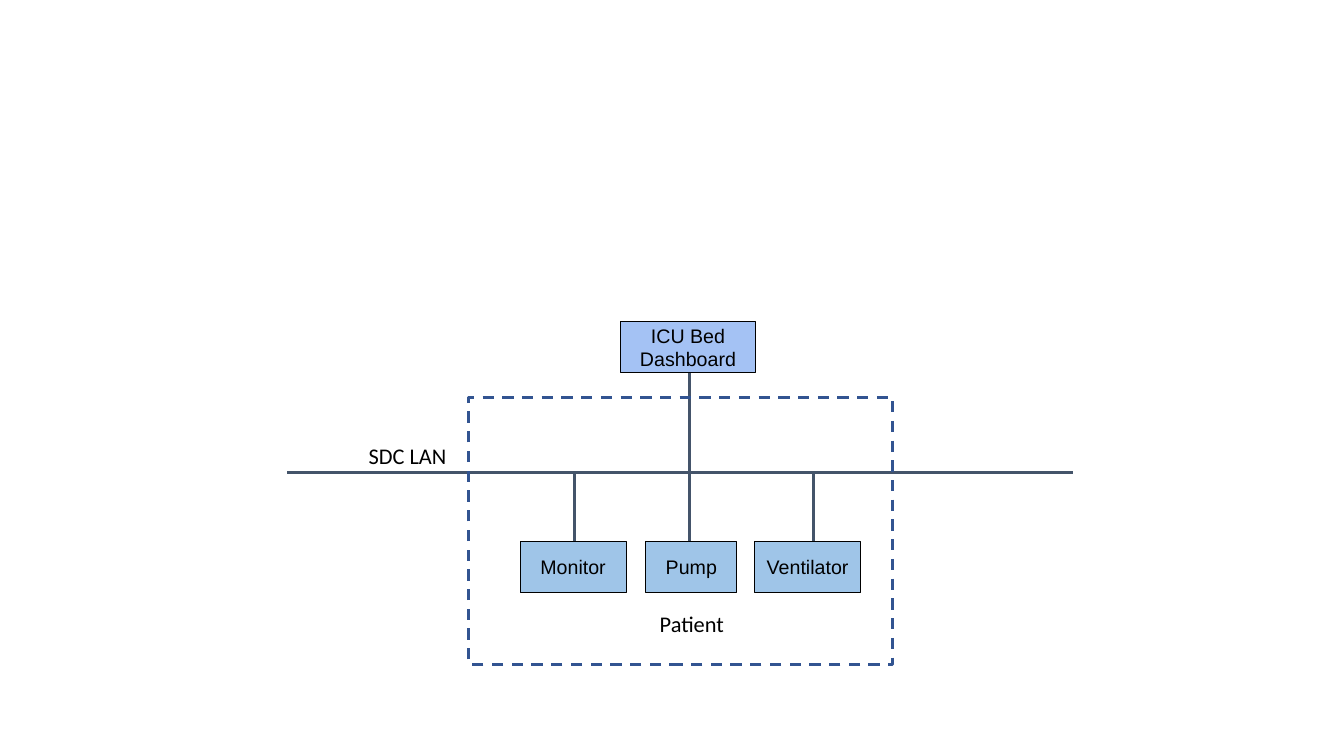
from dataclasses import dataclass
from typing import Optional

from lxml import etree
from pptx import Presentation
from pptx import util as u
from pptx.dml.color import RGBColor
from pptx.enum import dml, shapes, text
from pptx.oxml import ns


@dataclass(frozen=True)
class Theme:
    dashboard: str = "A4C2F4"
    device: str = "9FC5E8"
    outline: str = "000000"
    ink: str = "000000"
    network: str = "44546A"
    patient_area: str = "325491"
    box_font: str = "Arial"
    label_font: str = "Calibri"
    box_size: float = 14
    label_size: float = 16
    outline_width: float = 0.75
    network_width: float = 2.25
    area_width: float = 2


@dataclass(frozen=True)
class Box:
    left: float
    top: float
    width: float
    height: float
    words: str = ""
    fill: Optional[str] = None


@dataclass(frozen=True)
class Wire:
    x1: float
    y1: float
    x2: float
    y2: float


THEME = Theme()
DEVICE_TOP, BOX_HEIGHT, LABEL_HEIGHT = 13.64, 1.3, 0.94
LAN_Y = 11.91

DASHBOARD = Box(15.65, 8.1, 3.38, BOX_HEIGHT, "ICU Bed Dashboard", THEME.dashboard)
DEVICES = [
    Box(left, DEVICE_TOP, width, BOX_HEIGHT, words, THEME.device)
    for left, width, words in (
        (13.11, 2.67, "Monitor"),
        (16.28, 2.29, "Pump"),
        (19.02, 2.67, "Ventilator"),
    )
]
WIRES = [Wire(7.24, LAN_Y, 27.03, LAN_Y)] + [
    Wire(x, DEVICE_TOP, x, end)
    for x, end in (
        (14.48, LAN_Y - 0.05),
        (17.37, DASHBOARD.top + DASHBOARD.height),
        (20.5, LAN_Y),
    )
]
PATIENT_LABEL = Box(15.24, 15.24, 4.39, LABEL_HEIGHT, "Patient")
LAN_LABEL = Box(9.04, 11.02, 5.82, LABEL_HEIGHT, "SDC LAN")
PATIENT_AREA = Box(11.81, 10.01, 10.69, 6.73)


def apply(target, formats: dict) -> None:
    for name, value in formats.items():
        setattr(target, name, value)


def frame(box: Box) -> list:
    return [u.Cm(value) for value in (box.left, box.top, box.width, box.height)]


def write(shape, words: str, font: str, size: float, align, anchor, margin: float) -> None:
    apply(shape.text_frame, {
        "word_wrap": True,
        "vertical_anchor": anchor,
        "margin_left": u.Cm(0.25),
        "margin_right": u.Cm(0.25),
        "margin_top": u.Cm(margin),
        "margin_bottom": u.Cm(margin),
    })
    para = shape.text_frame.paragraphs[0]
    para.alignment = align
    span = para.add_run()
    span.text = words
    apply(span.font, {"name": font, "size": u.Pt(size)})
    span.font.color.rgb = RGBColor.from_string(THEME.ink)


def stroke(line, color: str, width: float) -> None:
    line.color.rgb = RGBColor.from_string(color)
    line.width = u.Pt(width)


def draw_rectangle(page, box: Box, color: str, width: float):
    shape = page.shapes.add_shape(shapes.MSO_SHAPE.RECTANGLE, *frame(box))
    shape.shadow.inherit = False
    if box.fill:
        shape.fill.solid()
        shape.fill.fore_color.rgb = RGBColor.from_string(box.fill)
    else:
        shape.fill.background()
    stroke(shape.line, color, width)
    return shape


def draw_box(page, box: Box) -> None:
    shape = draw_rectangle(page, box, THEME.outline, THEME.outline_width)
    write(shape, box.words, THEME.box_font, THEME.box_size,
          text.PP_ALIGN.CENTER, text.MSO_ANCHOR.MIDDLE, 0.25)


def draw_label(page, box: Box, align) -> None:
    shape = page.shapes.add_textbox(*frame(box))
    write(shape, box.words, THEME.label_font, THEME.label_size,
          align, text.MSO_ANCHOR.TOP, 0.13)


def draw_wire(page, wire: Wire) -> None:
    ends = [u.Cm(value) for value in (wire.x1, wire.y1, wire.x2, wire.y2)]
    line = page.shapes.add_connector(shapes.MSO_CONNECTOR.STRAIGHT, *ends)
    stroke(line.line, THEME.network, THEME.network_width)
    etree.SubElement(line._element.spPr, ns.qn("a:effectLst"))


deck = Presentation()
apply(deck, {"slide_width": u.Cm(33.87), "slide_height": u.Cm(19.05)})
page = deck.slides.add_slide(deck.slide_layouts[6])

draw_label(page, PATIENT_LABEL, text.PP_ALIGN.CENTER)
for box in [DASHBOARD, *DEVICES]:
    draw_box(page, box)
for wire in WIRES:
    draw_wire(page, wire)
draw_label(page, LAN_LABEL, text.PP_ALIGN.LEFT)
area = draw_rectangle(page, PATIENT_AREA, THEME.patient_area, THEME.area_width)
area.line.dash_style = dml.MSO_LINE.DASH

deck.save("out.pptx")
